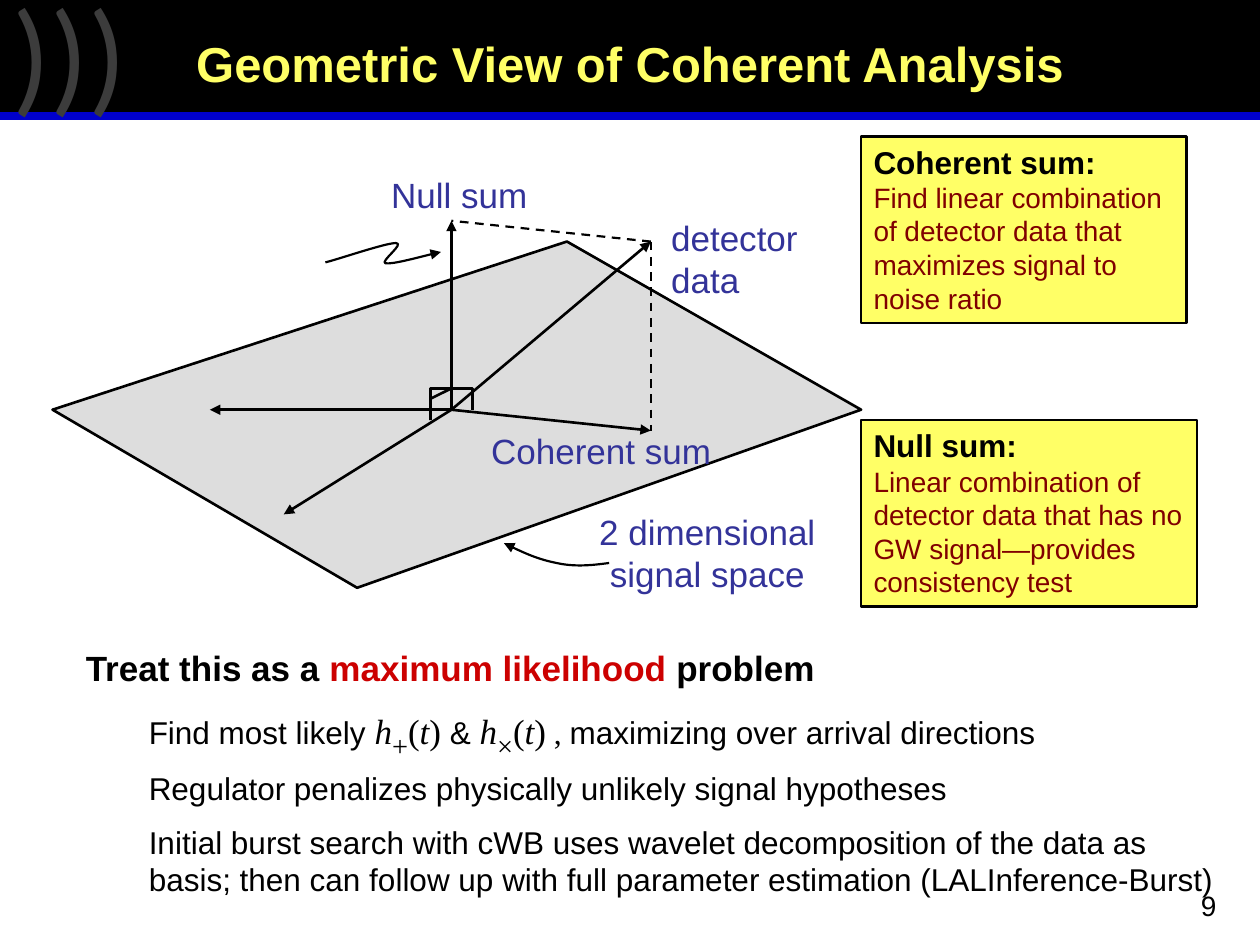
from lxml.etree import SubElement
from pptx import Presentation
from pptx.dml.color import RGBColor
from pptx.enum.dml import MSO_LINE
from pptx.enum.shapes import MSO_CONNECTOR, MSO_SHAPE
from pptx.enum.text import MSO_ANCHOR, PP_ALIGN
from pptx.oxml.ns import qn
from pptx.util import Cm, Pt

BLACK, YELLOW, BLUE, MAROON, RED = "000000", "FFFF66", "333399", "800000", "CC0000"
ORIGIN = (9.1, 8.26)
NULL_TIP = (9.1, 4.45)
DATA_TIP = (13.12, 4.87)
COHERENT_TIP = (13.12, 8.68)


def rgb(value):
    return RGBColor.from_string(value)


def style_run(r, size, color=BLACK, bold=False, italic=False, font="Arial", baseline=None):
    r.font.name = font
    r.font.size = Pt(size)
    r.font.bold = bold
    r.font.italic = italic
    r.font.color.rgb = rgb(color)
    if baseline:
        r.font._element.set("baseline", str(baseline * 1000))


def style_line(line, width, color=BLACK, arrow=False, dash=False):
    line.color.rgb = rgb(color)
    line.width = Pt(width)
    if dash:
        line.dash_style = MSO_LINE.DASH
    if arrow:
        SubElement(line._get_or_add_ln(), qn("a:tailEnd"), type="triangle")


def add_text(s, box, text, size, color=BLACK, align=PP_ALIGN.LEFT, wrap=True,
             bold=False, font="Arial"):
    sp = s.shapes.add_textbox(*map(Cm, box))
    tf = sp.text_frame
    tf.word_wrap = wrap
    tf.text = text
    p = tf.paragraphs[0]
    p.alignment = align
    for r in p.runs:
        style_run(r, size, color, bold, font=font)
    return tf


def add_rect(s, box, fill, line_width):
    sp = s.shapes.add_shape(MSO_SHAPE.RECTANGLE, *map(Cm, box))
    sp.shadow.inherit = False
    sp.fill.solid()
    sp.fill.fore_color.rgb = rgb(fill)
    style_line(sp.line, line_width)
    return sp


def add_line(s, start, end, width=1.5, **style):
    cxn = s.shapes.add_connector(MSO_CONNECTOR.STRAIGHT, *map(Cm, start + end))
    style_line(cxn.line, width, **style)
    SubElement(cxn._element.spPr, qn("a:effectLst"))


def add_outline(s, points, width=1.5, fill=None, arrow=False):
    first, *rest = [(Cm(x), Cm(y)) for x, y in points]
    builder = s.shapes.build_freeform(*first)
    builder.add_line_segments(rest, close=bool(fill))
    sp = builder.convert_to_shape()
    sp.shadow.inherit = False
    if fill:
        sp.fill.solid()
        sp.fill.fore_color.rgb = rgb(fill)
    else:
        sp.fill.background()
    style_line(sp.line, width, arrow=arrow)
    return sp


def add_curved_arrow(s, points):
    """Start point, then three Bezier points for each curve."""
    sp = add_outline(s, points, 1.25, arrow=True)
    segments = list(sp._element.iter(qn("a:lnTo")))
    outline = segments[0].getparent()
    for i in range(0, len(segments), 3):
        curve = SubElement(outline, qn("a:cubicBezTo"))
        for segment in segments[i:i + 3]:
            curve.append(segment[0])
            outline.remove(segment)


def add_note(s, box, heading, text):
    tf = add_rect(s, box, YELLOW, 1.5).text_frame
    tf.word_wrap = True
    tf.vertical_anchor = MSO_ANCHOR.TOP
    tf.text = f"{heading}\n{text}"
    for p, size, color, bold in zip(tf.paragraphs, (18, 16), (BLACK, MAROON), (True, False)):
        p.alignment = PP_ALIGN.LEFT
        style_run(p.runs[0], size, color, bold)


def strain(polarization):
    """Runs of the formula h(t) for one polarization."""
    serif = {"size": 20, "font": "Times New Roman"}
    italic = {**serif, "italic": True}
    return [("h", italic), (polarization, {**serif, "size": 28, "baseline": -25}),
            ("(", serif), ("t", italic), (")", serif)]


def add_body(s, box, paragraphs):
    tf = s.shapes.add_textbox(*map(Cm, box)).text_frame
    tf.word_wrap = True
    for i, (indent, space, runs) in enumerate(paragraphs):
        p = tf.add_paragraph() if i else tf.paragraphs[0]
        p._p.get_or_add_pPr().set("marL", str(Cm(indent)))
        p.space_before = Pt(space)
        for text, style in runs:
            r = p.add_run()
            r.text = text
            style_run(r, **style)


def add_header(s):
    add_rect(s, (0, 0, 25.4, 2.34), BLACK, 0.75)
    add_line(s, (0, 2.34), (25.4, 2.34), 4.5, color="0000CC")
    add_text(s, (0, -0.64, 2.97, 3.33), ")))", 72, "3C3C3C", font="Calibri")
    tf = add_text(s, (2.54, 0.36, 20.32, 1.98), "Geometric View of Coherent Analysis",
                  28, YELLOW, PP_ALIGN.CENTER, bold=True)
    tf.vertical_anchor = MSO_ANCHOR.MIDDLE
    tf.paragraphs[0].line_spacing = 0.9


def add_diagram(s):
    # Signal plane and vectors
    add_outline(s, [(1.06, 8.26), (11.43, 4.87), (17.36, 8.26), (7.2, 11.85)], fill="DDDDDD")
    for tip in (NULL_TIP, (4.23, 8.26), (5.72, 10.37), DATA_TIP, COHERENT_TIP):
        add_line(s, ORIGIN, tip, arrow=True)
    for tip in (COHERENT_TIP, NULL_TIP):
        add_line(s, DATA_TIP, tip, 1.25, dash=True)

    # Right-angle marks
    add_outline(s, [(8.68, 8.26), (8.68, 7.83), (9.1, 7.83)])
    add_outline(s, [(9.1, 7.83), (9.53, 7.83), (9.53, 8.26)])
    add_outline(s, [(9.1, 7.83), (8.68, 8.04), (8.68, 8.47)])

    # Labels
    for box, text, align in (
        ((9.63, 8.53, 4.98, 1.12), "Coherent sum", PP_ALIGN.CENTER),
        ((13.28, 4.24, 3.07, 1.96), "detector\vdata", PP_ALIGN.LEFT),
        ((7.62, 3.38, 3.28, 1.12), "Null sum", PP_ALIGN.CENTER),
        ((11.81, 10.16, 4.9, 1.96), "2 dimensional\vsignal space", PP_ALIGN.CENTER),
    ):
        add_text(s, box, text, 20, BLUE, align, wrap=False)

    # Pointers to the null vector and the plane
    add_curved_arrow(s, [(6.56, 5.29), (6.81, 5.23), (7.77, 4.9), (7.98, 4.9), (8.18, 4.9),
                         (7.65, 5.28), (7.77, 5.31), (7.92, 5.33), (8.66, 5.13), (8.89, 5.08)])
    add_curved_arrow(s, [(12.28, 11.35), (11.91, 11.4), (11.58, 11.43), (11.22, 11.35),
                         (10.87, 11.28), (10.52, 11.13), (10.16, 10.95)])


def main():
    prs = Presentation()
    prs.slide_width, prs.slide_height = Cm(25.4), Cm(19.05)
    s = prs.slides.add_slide(prs.slide_layouts[6])

    add_header(s)
    add_text(s, (19.05, 17.78, 5.72, 0.84), "9", 16, align=PP_ALIGN.RIGHT)
    add_diagram(s)

    # Definitions
    add_note(s, (17.36, 2.75, 6.56, 3.76), "Coherent sum:",
             "Find linear combination of detector data that maximizes signal to noise ratio")
    add_note(s, (17.36, 8.47, 6.77, 3.76), "Null sum:",
             "Linear combination of detector data that has no GW signal—provides consistency test")

    # Method
    lead, plain = {"size": 20, "bold": True}, {"size": 18}
    add_body(s, (1.48, 12.9, 23.29, 5.13), [
        (0, 0, [("Treat this as a ", lead), ("maximum likelihood", {**lead, "color": RED}),
                (" problem", lead)]),
        (1.27, 4, [("Find most likely ", plain), *strain("+"), (" & ", plain), *strain("×"),
                   (" , ", {**plain, "font": "Times New Roman"}),
                   ("maximizing over arrival directions", plain)]),
        (1.27, 4, [("Regulator penalizes physically unlikely signal hypotheses", plain)]),
        (1.27, 9, [("Initial burst search with cWB uses wavelet decomposition of the data as "
                    "basis; then can follow up with full parameter estimation "
                    "(LALInference-Burst)", plain)]),
    ])
    prs.save("out.pptx")


if __name__ == "__main__":
    main()
